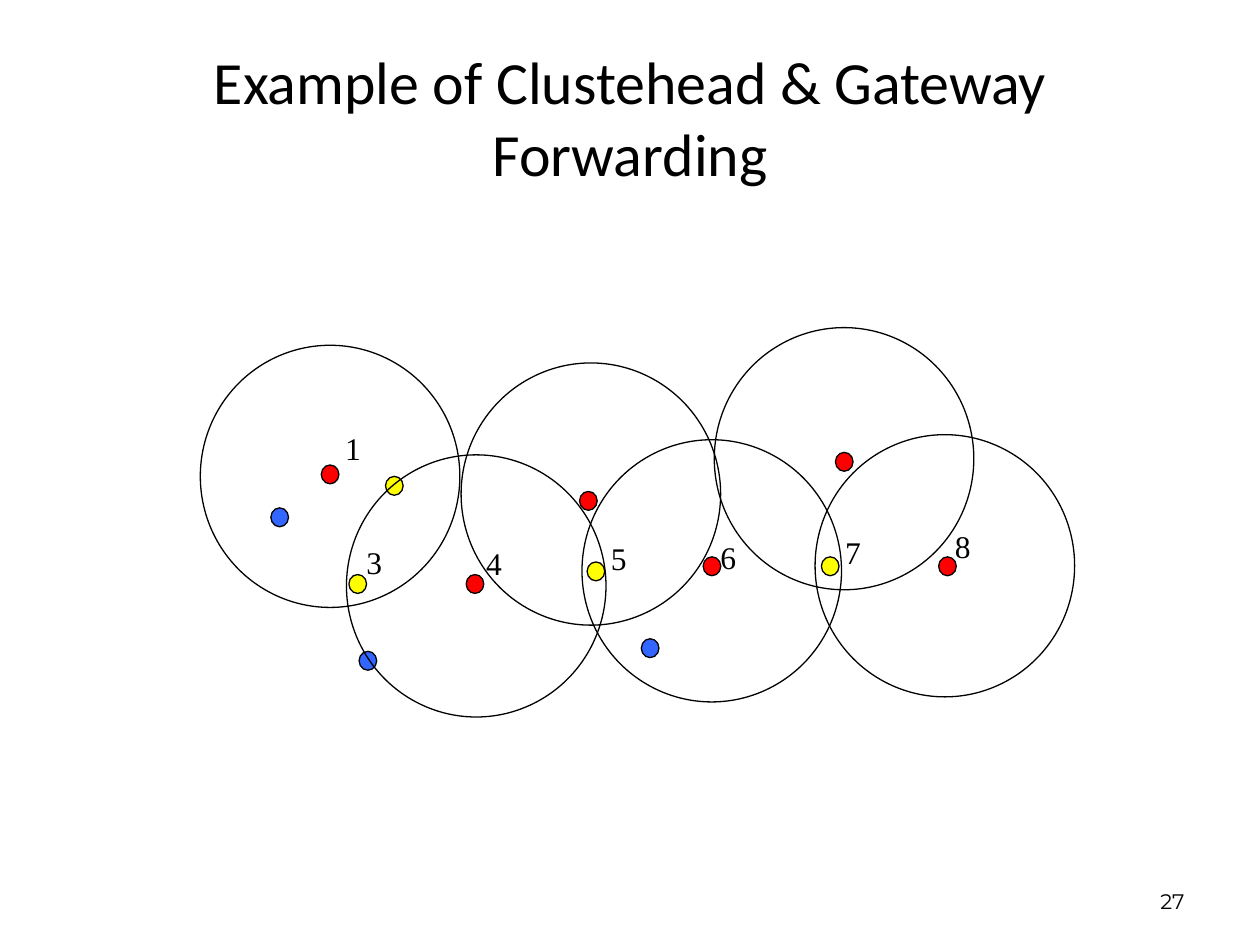
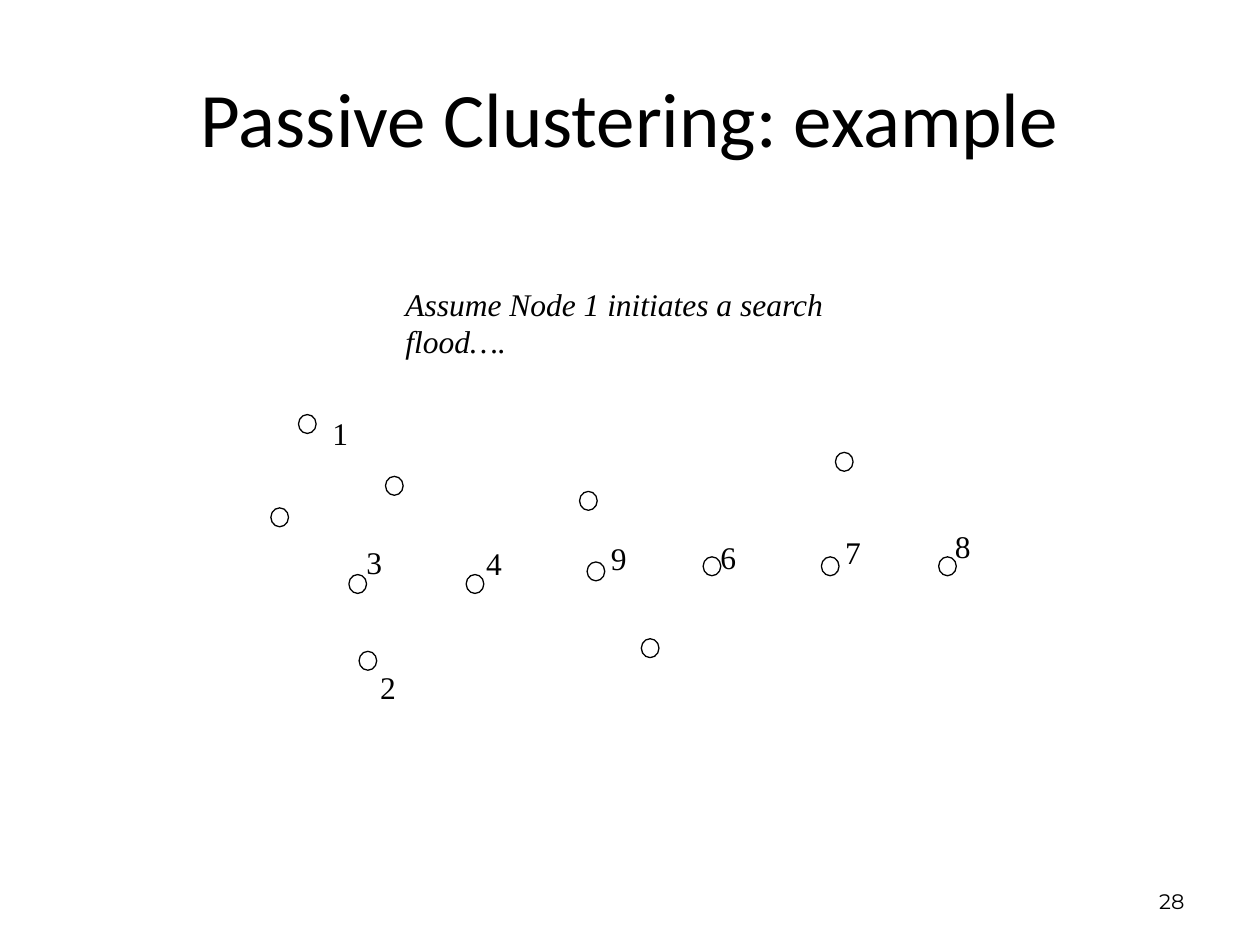
from pptx import Presentation
from pptx.dml.color import RGBColor
from pptx.enum.shapes import MSO_SHAPE
from pptx.enum.text import MSO_ANCHOR, MSO_AUTO_SIZE, PP_ALIGN
from pptx.util import Pt

COLORS = {
    "ink": "000000",
    "plain": "FFFFFF",
    "clusterhead": "FF0000",
    "gateway": "FFFF00",
    "ordinary": "3366FF",
}
NODE_SIZE = (10.1, 10.8)
RANGE_SIZE = (148.3, 149.8)

SHARED_NODES = [
    (199.4, 328.3, "gateway"),
    (266.4, 328.3, "clusterhead"),
    (335.5, 321.1, "gateway"),
    (401.8, 318.2, "clusterhead"),
    (469.4, 318.2, "gateway"),
    (536.4, 318.2, "clusterhead"),
    (366.5, 365, "ordinary"),
    (205.2, 372.2, "ordinary"),
    (154.8, 290.2, "ordinary"),
    (331.2, 280.8, "clusterhead"),
    (477.4, 258.5, "clusterhead"),
    (220.3, 272.2, "gateway"),
]
SHARED_LABELS = [
    ("3", (202.3, 306.7, 41, 43.9)),
    ("4", (270.7, 307.4, 45.4, 42.5)),
    ("6", (404.6, 303.8, 41.8, 46.8)),
    ("7", (475.9, 301, 49.7, 48.2)),
    ("8", (538.6, 297.4, 46.1, 47.5)),
]
MIDDLE_LABEL_BOX = (342, 304.6, 46.1, 46.8)
RANGES = [
    (114.5, 197.3),
    (198, 259.9),
    (263.5, 207.4),
    (332.6, 251.3),
    (408.2, 187.2),
    (465.8, 248.4),
]


def write_text(frame, text, font="Times New Roman", size=18, italic=False,
               align=PP_ALIGN.LEFT, anchor=MSO_ANCHOR.TOP):
    """Fill a text frame with one formatted paragraph."""
    frame.word_wrap = True
    frame.auto_size = MSO_AUTO_SIZE.NONE
    frame.vertical_anchor = anchor
    paragraph = frame.paragraphs[0]
    paragraph.alignment = align
    run = paragraph.add_run()
    run.text = text
    run.font.name = font
    run.font.size = Pt(size)
    run.font.italic = italic
    run.font.color.rgb = RGBColor.from_string(COLORS["ink"])


class Deck:
    """Holds the shared style and the current slide."""

    def __init__(self):
        """Start an empty 4:3 presentation."""
        self.presentation = Presentation()
        self.presentation.slide_width = Pt(720)
        self.presentation.slide_height = Pt(540)
        self.slide = None

    def add_slide(self, title, title_size, number):
        """Start a slide with its title and page number."""
        self.slide = self.presentation.slides.add_slide(self.presentation.slide_layouts[5])
        heading = self.slide.shapes.title
        heading.left, heading.top, heading.width, heading.height = map(Pt, (36, 21.6, 648, 90))
        write_text(heading.text_frame, title, font="Calibri", size=title_size,
                   align=PP_ALIGN.CENTER, anchor=MSO_ANCHOR.MIDDLE)
        self.text(str(number), (516.2, 500.4, 167.8, 28.8), font="Montserrat", size=12,
                  align=PP_ALIGN.RIGHT, anchor=MSO_ANCHOR.MIDDLE)

    def text(self, text, box, **text_format):
        """Add a text box."""
        shape = self.slide.shapes.add_textbox(*map(Pt, box))
        write_text(shape.text_frame, text, **text_format)

    def ellipse(self, position, size, fill=None):
        """Add an outlined ellipse, hollow unless a fill is named."""
        shape = self.slide.shapes.add_shape(MSO_SHAPE.OVAL, *map(Pt, position + size))
        shape.shadow.inherit = False
        shape.line.color.rgb = RGBColor.from_string(COLORS["ink"])
        shape.line.width = Pt(0.75)
        if fill:
            shape.fill.solid()
            shape.fill.fore_color.rgb = RGBColor.from_string(COLORS[fill])
        else:
            shape.fill.background()

    def network(self, nodes, labels):
        """Draw the nodes and their numbers."""
        for left, top, role in nodes:
            self.ellipse((left, top), NODE_SIZE, role)
        for label, box in labels:
            self.text(label, box)


def main():
    """Build both slides and save them."""
    deck = Deck()

    deck.add_slide("Example of Clustehead & Gateway Forwarding", 34.2, 27)
    deck.network(
        SHARED_NODES + [(183.6, 265.7, "clusterhead")],
        SHARED_LABELS + [("1", (190.1, 241.9, 46.1, 38.9)), ("5", MIDDLE_LABEL_BOX)],
    )
    for position in RANGES:
        deck.ellipse(position, RANGE_SIZE)

    deck.add_slide("Passive Clustering: example", 44, 28)
    plain_nodes = [(left, top, "plain") for left, top, role in SHARED_NODES]
    deck.network(
        plain_nodes + [(170.6, 236.9, "plain")],
        SHARED_LABELS + [
            ("1", (182.9, 233.3, 46.1, 38.9)),
            ("2", (210.2, 378, 46.1, 38.9)),
            ("9", MIDDLE_LABEL_BOX),
        ],
    )
    deck.text("Assume Node 1 initiates a search flood….", (224.6, 159.1, 305.3, 50.4), italic=True)

    deck.presentation.save("out.pptx")


if __name__ == "__main__":
    main()
